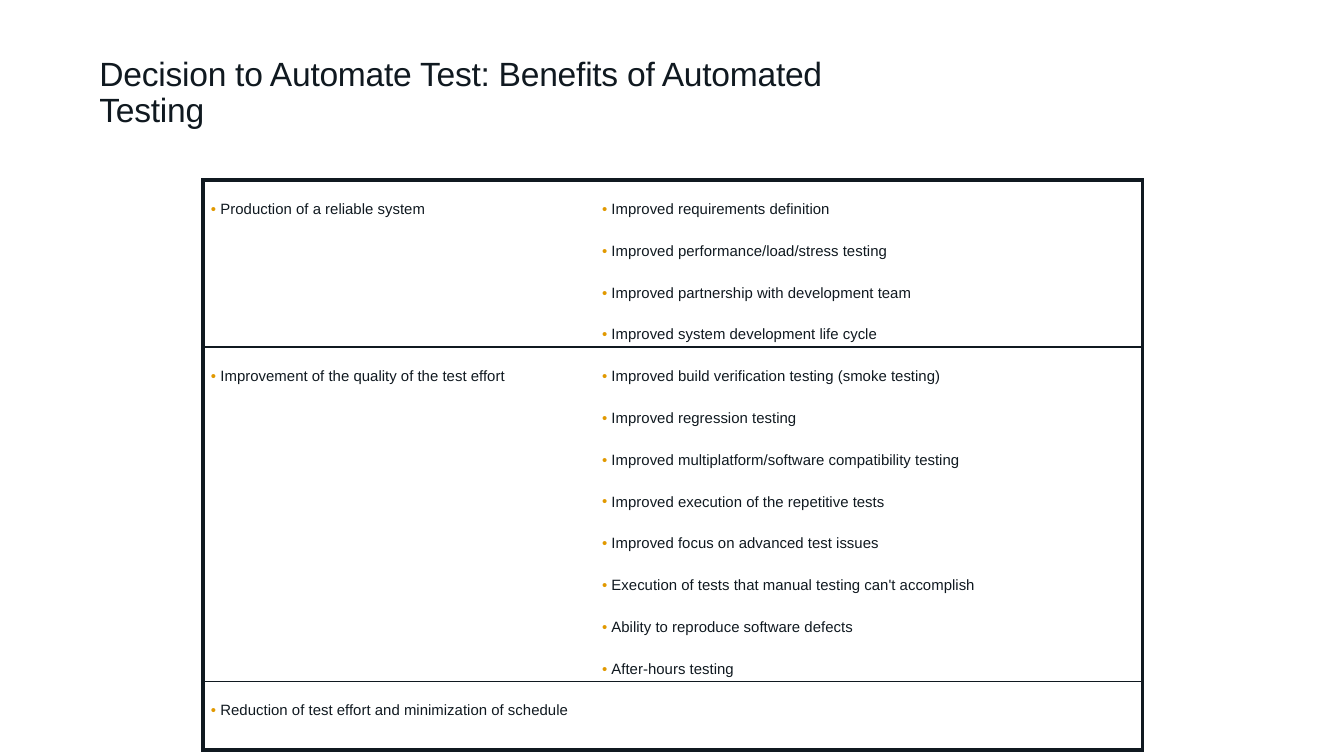
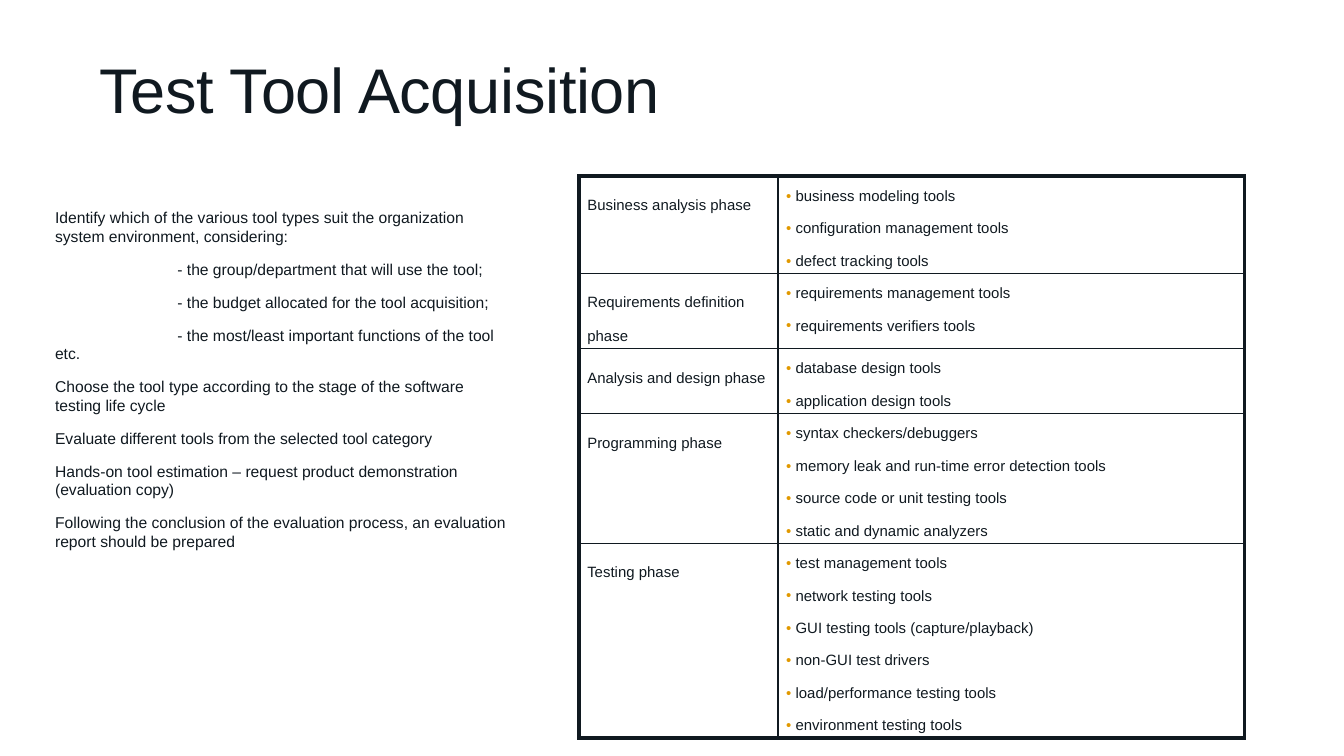
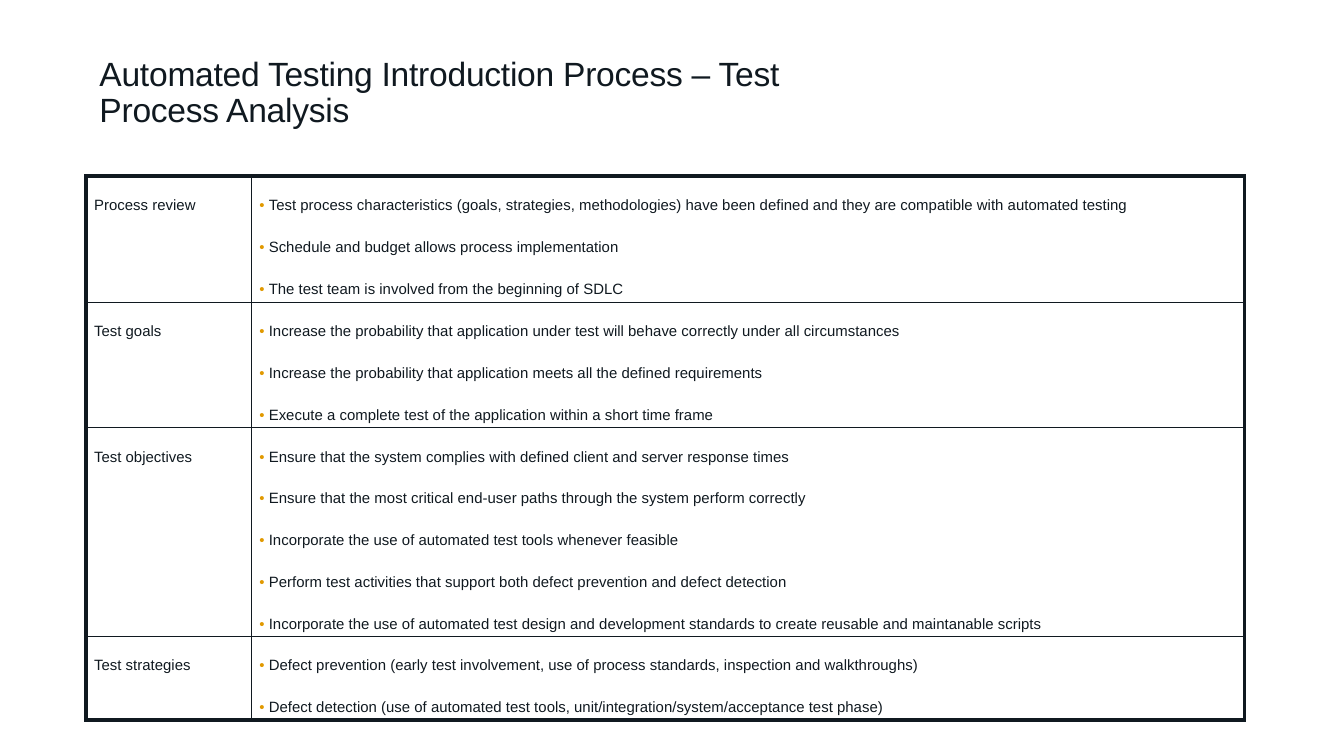
from lxml import etree
from pptx import Presentation
from pptx.dml.color import RGBColor
from pptx.enum.text import MSO_ANCHOR, MSO_AUTO_SIZE, PP_ALIGN
from pptx.oxml.ns import qn
from pptx.util import Inches, Pt

COLORS = {"ink": "101920", "bullet": "E19900"}
FONT = "Arial"
OUTER, INNER = 2.25, 1  # border widths in points
BULLET_GAP = 0.07
TITLE_BOX = (0.64, 0.36, 5.6, 0.67)

BENEFITS = [
    (1.02, "Production of a reliable system", [
        "Improved requirements definition",
        "Improved performance/load/stress testing",
        "Improved partnership with development team",
        "Improved system development life cycle"]),
    (2.07, "Improvement of the quality of the test effort", [
        "Improved build verification testing (smoke testing)",
        "Improved regression testing",
        "Improved multiplatform/software compatibility testing",
        "Improved execution of the repetitive tests",
        "Improved focus on advanced test issues",
        "Execution of tests that manual testing can't accomplish",
        "Ability to reproduce software defects",
        "After-hours testing"]),
    (0.51, "Reduction of test effort and minimization of schedule", []),
]

PHASE_TOOLS = [
    (0.62, "Business analysis phase", [
        "business modeling tools",
        "configuration management tools",
        "defect tracking tools"]),
    (0.41, "Requirements definition phase", [
        "requirements management tools",
        "requirements verifiers tools"]),
    (0.41, "Analysis and design phase", [
        "database design tools",
        "application design tools"]),
    (0.86, "Programming phase", [
        "syntax checkers/debuggers",
        "memory leak and run-time error detection tools",
        "source code or unit testing tools",
        "static and dynamic analyzers"]),
    (1.25, "Testing phase", [
        "test management tools",
        "network testing tools",
        "GUI testing tools (capture/playback)",
        "non-GUI test drivers",
        "load/performance testing tools",
        "environment testing tools"]),
]

PROCESS_ANALYSIS = [
    (0.94, "Process review", [
        "Test process characteristics (goals, strategies, methodologies) have been "
        "defined and they are compatible with automated testing",
        "Schedule and budget allows process implementation",
        "The test team is involved from the beginning of SDLC"]),
    (0.75, "Test goals", [
        "Increase the probability that application under test will behave correctly "
        "under all circumstances",
        "Increase the probability that application meets all the defined requirements",
        "Execute a complete test of the application within a short time frame"]),
    (1.47, "Test objectives", [
        "Ensure that the system complies with defined client and server response times",
        "Ensure that the most critical end-user paths through the system perform correctly",
        "Incorporate the use of automated test tools whenever feasible",
        "Perform test activities that support both defect prevention and defect detection",
        "Incorporate the use of automated test design and development standards to create "
        "reusable and maintanable scripts"]),
    (0.49, "Test strategies", [
        "Defect prevention (early test involvement, use of process standards, "
        "inspection and walkthroughs)",
        "Defect detection (use of automated test tools, "
        "unit/integration/system/acceptance test phase)"]),
]

ACQUISITION_STEPS = [
    "Identify which of the various tool types suit the organization system "
    "environment, considering:",
    "- the group/department that will use the tool;",
    "- the budget allocated for the tool acquisition;",
    "- the most/least important functions of the tool etc.",
    "Choose the tool type according to the stage of the software testing life cycle",
    "Evaluate different tools from the selected tool category",
    "Hands-on tool estimation – request product demonstration (evaluation copy)",
    "Following the conclusion of the evaluation process, an evaluation report "
    "should be prepared",
]


def style_font(paragraph, size):
    font = paragraph.font
    font.name, font.size, font.bold = FONT, Pt(size), False
    font.color.rgb = RGBColor.from_string(COLORS["ink"])
    return font


def set_indent(paragraph, margin, first_line):
    props = paragraph._p.get_or_add_pPr()
    props.set("marL", str(Inches(margin)))
    props.set("indent", str(Inches(first_line)))
    return props


def place(shape, box):
    shape.left, shape.top, shape.width, shape.height = map(Inches, box)


def add_paragraphs(frame, texts):
    """Yield one paragraph per text, starting with the frame's own."""
    for index, text in enumerate(texts):
        paragraph = frame.add_paragraph() if index else frame.paragraphs[0]
        paragraph.text = text
        yield index, paragraph


def fill_title(slide, text, size):
    title = slide.shapes.title
    place(title, TITLE_BOX)
    frame = title.text_frame
    frame.text = text
    frame.word_wrap = True
    frame.auto_size = MSO_AUTO_SIZE.NONE
    frame.vertical_anchor = MSO_ANCHOR.MIDDLE
    heading = frame.paragraphs[0]
    heading.alignment = PP_ALIGN.LEFT
    heading.line_spacing = 0.9
    style_font(heading, size)._element.set("spc", "-13")


def fill_steps(slide, box):
    """Plain list in the body placeholder; dashed items start further right."""
    body = slide.placeholders[1]
    place(body, box)
    frame = body.text_frame
    frame.auto_size = MSO_AUTO_SIZE.NONE
    for index, step in add_paragraphs(frame, ACQUISITION_STEPS):
        props = set_indent(step, 0, 0.91 if step.text.startswith("-") else 0)
        etree.SubElement(props, qn("a:buNone"))
        step.space_before = Pt(7.5 if index else 0)
        style_font(step, 8.4)


def fill_cell(cell, texts, pitch, bulleted):
    cell.margin_left = cell.margin_right = Inches(0.06)
    cell.margin_top = cell.margin_bottom = Inches(0.03)
    cell.vertical_anchor = MSO_ANCHOR.TOP
    for _, paragraph in add_paragraphs(cell.text_frame, texts):
        if bulleted:
            props = set_indent(paragraph, BULLET_GAP, -BULLET_GAP)
            color = etree.SubElement(props, qn("a:buClr"))
            etree.SubElement(color, qn("a:srgbClr"), val=COLORS["bullet"])
            etree.SubElement(props, qn("a:buFont"), typeface=FONT)
            etree.SubElement(props, qn("a:buChar"), char="•")
        paragraph.line_spacing = Pt(pitch)
        paragraph.space_after = Pt(4.4)
        style_font(paragraph, 8)


def set_borders(cell, widths):
    """Draw left, right, top and bottom lines; a width of 0 hides the line."""
    props = cell._tc.get_or_add_tcPr()
    for side, width in zip("LRTB", widths):
        line = etree.SubElement(props, qn(f"a:ln{side}"), w=str(Pt(width)))
        if width:
            fill = etree.SubElement(line, qn("a:solidFill"))
            etree.SubElement(fill, qn("a:srgbClr"), val=COLORS["ink"])
        else:
            etree.SubElement(line, qn("a:noFill"))
    cell.fill.background()


def add_grid(slide, box, columns, rows, pitch=18, bullet_labels=False, divider=INNER):
    """Table of labels and bulleted items; a row without items is merged."""
    graphic = slide.shapes.add_table(len(rows), len(columns), *map(Inches, box))
    table = graphic.table
    table.first_row = table.horz_banding = False
    for column, width in zip(table.columns, columns):
        column.width = Inches(width)

    last_row = len(rows) - 1
    for r, (height, label, items) in enumerate(rows):
        table.rows[r].height = Inches(height)
        label_cell, items_cell = table.cell(r, 0), table.cell(r, 1)
        fill_cell(label_cell, [label], pitch=18, bulleted=bullet_labels)
        if items:
            fill_cell(items_cell, items, pitch, bulleted=True)
        else:
            label_cell.merge(items_cell)
        top = INNER if r else OUTER
        bottom = OUTER if r == last_row else INNER
        set_borders(label_cell, (OUTER, divider if items else OUTER, top, bottom))
        set_borders(items_cell, (divider, OUTER, top, bottom))
    graphic.width, graphic.height = Inches(box[2]), Inches(box[3])


def benefits_slide(prs):
    slide = prs.slides.add_slide(prs.slide_layouts[5])
    fill_title(slide, "Decision to Automate Test: Benefits of Automated Testing", 18)
    add_grid(slide, (1.51, 1.34, 6.98, 4.28), (2.91, 4.08), BENEFITS,
             bullet_labels=True, divider=0)


def acquisition_slide(prs):
    slide = prs.slides.add_slide(prs.slide_layouts[1])
    fill_title(slide, "Test Tool Acquisition", 33.75)
    add_grid(slide, (4.31, 1.31, 4.95, 4.2), (1.48, 3.47), PHASE_TOOLS, pitch=13)
    fill_steps(slide, (0.31, 1.5, 3.58, 3.57))


def analysis_slide(prs):
    slide = prs.slides.add_slide(prs.slide_layouts[5])
    fill_title(slide, "Automated Testing Introduction Process – Test Process Analysis", 18)
    add_grid(slide, (0.64, 1.31, 8.61, 4.02), (1.23, 7.39), PROCESS_ANALYSIS)


def main():
    prs = Presentation()
    prs.slide_width = Inches(10)
    prs.slide_height = prs.slide_width * 9 // 16
    benefits_slide(prs)
    acquisition_slide(prs)
    analysis_slide(prs)
    prs.save("out.pptx")


if __name__ == "__main__":
    main()
